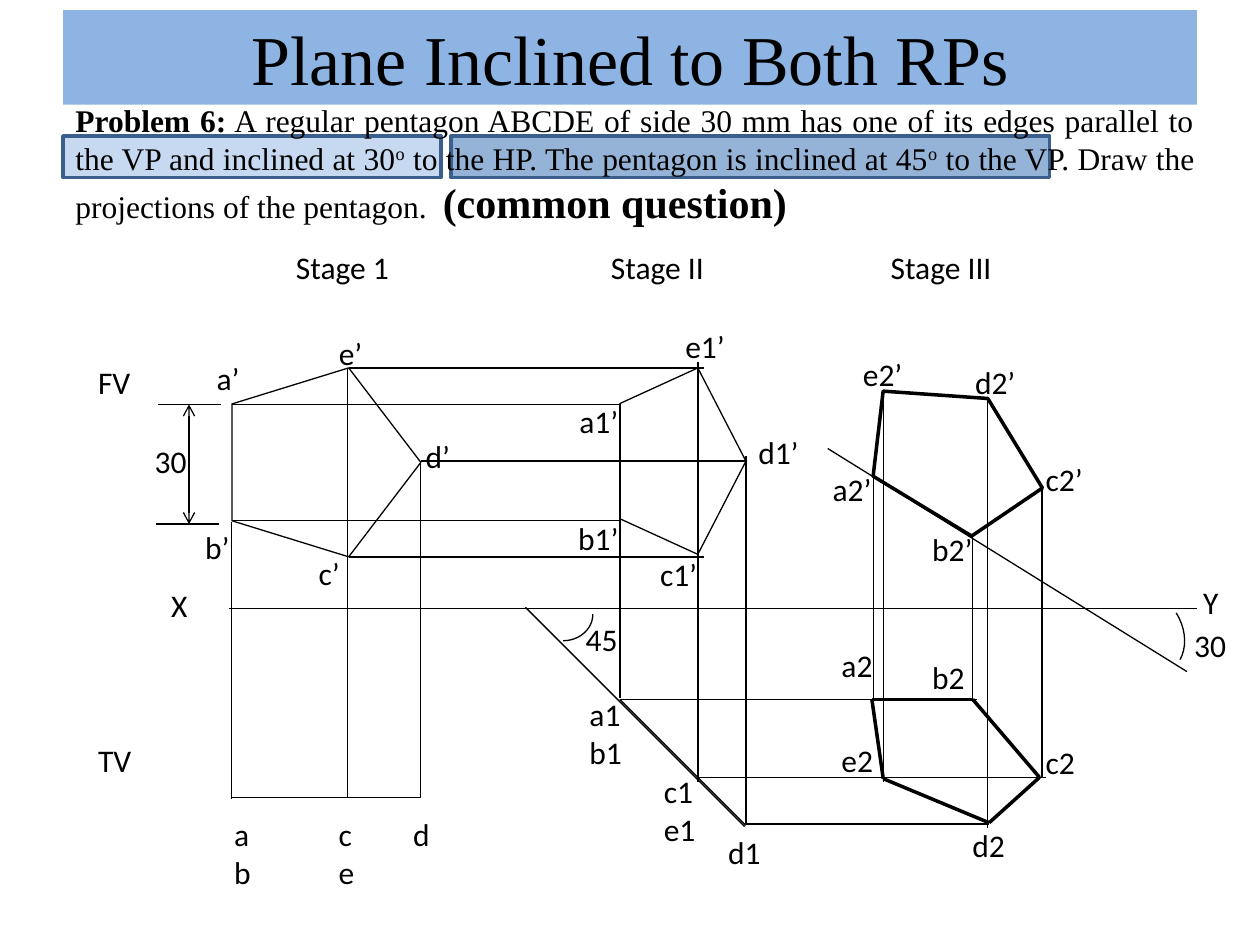
from itertools import pairwise

from lxml.etree import SubElement
from pptx import Presentation
from pptx.dml.color import RGBColor
from pptx.enum.shapes import MSO_CONNECTOR as Connector, MSO_SHAPE as Shape
from pptx.enum.text import MSO_ANCHOR as Anchor, MSO_AUTO_SIZE as AutoSize, PP_ALIGN as Align
from pptx.oxml.ns import qn
from pptx.util import Inches, Pt

BLACK = RGBColor(0x00, 0x00, 0x00)
TITLE_BLUE = RGBColor(0x8E, 0xB4, 0xE3)
PALE_BLUE = RGBColor(0xC6, 0xD9, 0xF1)
MID_BLUE = RGBColor(0x95, 0xB3, 0xD7)
EDGE_BLUE = RGBColor(0x3A, 0x5F, 0x8C)
SERIF, SANS = "Times New Roman", "Calibri"
THIN, THICK = 0.75, 2
ONE_LINE, TWO_LINES = 0.4, 0.71

LABELS = [
    ("Stage 1", 2.25, 1.92, 0.95), ("Stage II", 4.75, 1.92, 0.95), ("Stage III", 6.97, 1.92, 1.01),
    ("FV", 0.68, 2.83, 0.46), ("TV", 0.68, 5.83, 0.47),
    ("X", 1.26, 4.6, 0.56), ("Y", 9.45, 4.58, 0.55),
    ("a’", 1.62, 2.8, 0.39), ("b’", 1.53, 4.14, 0.4), ("c’", 2.43, 4.35, 0.37),
    ("d’", 3.28, 3.42, 0.4), ("e’", 2.59, 2.6, 0.39),
    ("a1’", 4.5, 3.14, 0.51), ("b1’", 4.49, 4.07, 0.53), ("c1’", 5.14, 4.36, 0.5),
    ("d1’", 5.92, 3.39, 0.53), ("e1’", 5.34, 2.55, 0.52),
    ("a2’", 6.51, 3.68, 0.51), ("b2’", 7.3, 4.16, 0.53), ("c2’", 8.2, 3.6, 0.5),
    ("d2’", 7.64, 2.83, 0.53), ("e2’", 6.75, 2.77, 0.52),
    ("a2", 6.58, 5.08, 0.45), ("b2", 7.3, 5.17, 0.46), ("c2", 8.2, 5.85, 0.44),
    ("d2", 7.62, 6.51, 0.46), ("e2", 6.58, 5.83, 0.46),
    ("30", 1.13, 3.46, 0.46), ("45", 4.55, 4.87, 0.52), ("30", 9.38, 4.92, 0.46),
]
EDGE_VIEW_LABELS = [
    ("a\nb", 1.76, 6.42, 0.34), ("c\ne", 2.59, 6.42, 0.33), ("d", 3.18, 6.42, 0.34),
    ("a1\nb1", 4.58, 5.47, 0.46), ("c1\ne1", 5.17, 6.08, 0.46), ("d1", 5.68, 6.56, 0.46),
]
VERTICAL_PROJECTORS = [
    (1.84, 6.34, 4.14), (2.76, 6.33, 2.92), (3.34, 6.33, 3.67),
    (4.92, 5.54, 3.21), (5.54, 6.21, 2.87), (5.92, 6.54, 3.62),
    (6.93, 3.77, 5.58), (7.01, 3.11, 6.21), (7.72, 4.25, 5.55),
    (7.84, 3.17, 6.57), (8.27, 3.87, 6.17),
]
HORIZONTAL_LINES = [
    (4.83, 1.82, 9.5), (6.33, 1.84, 3.34),
    (3.21, 1.84, 4.92), (2.92, 2.77, 5.59), (4.13, 1.85, 4.92), (3.66, 3.34, 5.92), (4.42, 2.77, 5.59),
    (5.55, 4.92, 7.75), (6.17, 5.55, 8.3), (6.54, 5.92, 7.85),
    (4.16, 1.74, 1.24), (3.21, 1.75, 1.25),
]
FINAL_TOP_VIEW = [(6.92, 5.55), (7.72, 5.55), (8.25, 6.17), (7.85, 6.53), (7.01, 6.18), (6.92, 5.55)]
PROBLEM = [
    ("Problem 6:", "bold"),
    (" A regular pentagon ABCDE of side 30 mm has one of its edges parallel to the VP and inclined at 30", ""),
    ("o", "raised"),
    (" to the HP. The pentagon is inclined at 45", ""),
    ("o", "raised"),
    (" to the VP. Draw the projections of the pentagon.  ", ""),
    ("(common question)", "large"),
]


class DrawingSheet:
    """Holds the drawing style and slide, on a grid of 10 columns by 7.5 rows."""

    def __init__(self, deck):
        self.cell = deck.slide_width / 10
        self.slide = deck.slides.add_slide(deck.slide_layouts[5])

    def grid(self, *lengths):
        return [round(length * self.cell) for length in lengths]

    def style_text(self, para, size, name):
        para.font.size, para.font.name = Pt(size), name
        para.font.color.rgb = BLACK

    def title(self, text, *frame):
        title = self.slide.shapes.title
        title.left, title.top, title.width, title.height = self.grid(*frame)
        title.fill.solid()
        title.fill.fore_color.rgb = TITLE_BLUE
        title.text_frame.text = text
        title.text_frame.vertical_anchor = Anchor.MIDDLE
        para = title.text_frame.paragraphs[0]
        para.alignment = Align.CENTER
        self.style_text(para, 40, SERIF)

    def text_box(self, frame, wrap):
        box = self.slide.shapes.add_textbox(*self.grid(*frame))
        box.text_frame.word_wrap = wrap
        box.text_frame.auto_size = AutoSize.SHAPE_TO_FIT_TEXT
        return box.text_frame

    def label(self, text, left, top, width, height=ONE_LINE):
        frame = self.text_box((left, top, width, height), False)
        frame.text = text
        for para in frame.paragraphs:
            self.style_text(para, 18, SANS)

    def problem(self, parts, *frame):
        para = self.text_box(frame, True).paragraphs[0]
        para.alignment = Align.JUSTIFY
        self.style_text(para, 18, SERIF)
        for text, look in parts:
            span = para.add_run()
            span.text = text
            if look in ("bold", "large"):
                span.font.bold = True
            if look == "large":
                span.font.size = Pt(24)
            if look == "raised":
                span.font._element.set("baseline", "30000")

    def shape(self, kind, *frame, fill=None, edge=BLACK, weight=THIN, turn=0):
        shape = self.slide.shapes.add_shape(kind, *self.grid(*frame))
        shape.shadow.inherit = False
        shape.rotation = turn
        shape.line.color.rgb, shape.line.width = edge, Pt(weight)
        if fill is None:
            shape.fill.background()
        else:
            shape.fill.solid()
            shape.fill.fore_color.rgb = fill
        return shape

    def line(self, start, end, weight=THIN, arrows=False):
        line = self.slide.shapes.add_connector(Connector.STRAIGHT, *self.grid(*start, *end))
        line.line.color.rgb, line.line.width = BLACK, Pt(weight)
        properties = line._element.spPr
        if arrows:
            for side in ("a:headEnd", "a:tailEnd"):
                SubElement(properties.find(qn("a:ln")), qn(side), type="arrow")
        SubElement(properties, qn("a:effectLst"))


def main():
    deck = Presentation()
    deck.slide_width, deck.slide_height = Inches(10), Inches(7.5)
    sheet = DrawingSheet(deck)
    sheet.title("Plane Inclined to Both RPs", 0.5, 0.08, 9, 0.75)
    sheet.shape(Shape.RECTANGLE, 0.5, 1.08, 3, 0.33, fill=PALE_BLUE, edge=EDGE_BLUE, weight=THICK)
    sheet.shape(Shape.RECTANGLE, 3.58, 1.08, 4.75, 0.33, fill=MID_BLUE, edge=EDGE_BLUE, weight=THICK)
    sheet.problem(PROBLEM, 0.5, 0.75, 9.08, 1.11)

    sheet.shape(Shape.REGULAR_PENTAGON, 1.84, 2.92, 1.5, 1.5, turn=90)
    sheet.shape(Shape.REGULAR_PENTAGON, 4.68, 3.16, 1.48, 1, turn=90)
    sheet.shape(Shape.REGULAR_PENTAGON, 6.84, 3.09, 1.48, 1, turn=31.3, weight=THICK)
    sheet.shape(Shape.ARC, 4.26, 4.64, 0.42, 0.47, turn=90)
    slope_arc = sheet.shape(Shape.ARC, 8.73, 4.73, 0.72, 0.58, turn=57.5)
    slope_arc.adjustments[0], slope_arc.adjustments[1] = 162, 204.31

    for column, start, end in VERTICAL_PROJECTORS:
        sheet.line((column, start), (column, end))
    for row, start, end in HORIZONTAL_LINES:
        sheet.line((start, row), (end, row))
    sheet.line((4.17, 4.82), (5.91, 6.56))
    sheet.line((4.92, 5.55), (5.92, 6.55))
    sheet.line((9.42, 5.33), (6.57, 3.56))
    sheet.line((1.5, 4.16), (1.5, 3.21), arrows=True)
    for start, end in pairwise(FINAL_TOP_VIEW):
        sheet.line(start, end, weight=THICK)

    for label in LABELS:
        sheet.label(*label)
    for label in EDGE_VIEW_LABELS:
        sheet.label(*label, height=TWO_LINES)
    deck.save("out.pptx")


if __name__ == "__main__":
    main()
